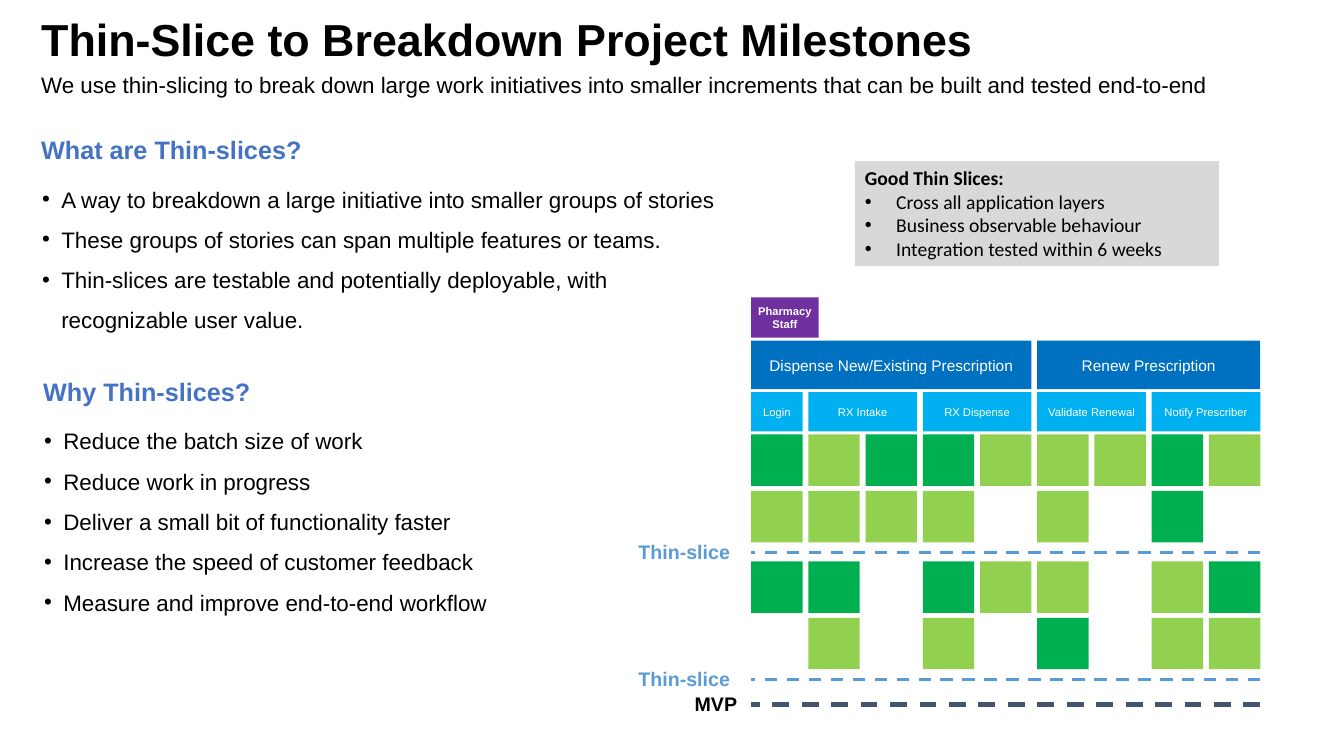
from lxml import etree
from pptx import Presentation
from pptx.dml.color import RGBColor
from pptx.enum.dml import MSO_LINE
from pptx.enum.shapes import MSO_CONNECTOR, MSO_SHAPE
from pptx.enum.text import MSO_ANCHOR, PP_ALIGN
from pptx.oxml.ns import qn
from pptx.util import Inches, Pt

BLACK = RGBColor(0x00, 0x00, 0x00)
WHITE = RGBColor(0xFF, 0xFF, 0xFF)
GREY = RGBColor(0xD8, 0xD8, 0xD8)
HEADING_BLUE = RGBColor(0x44, 0x72, 0xC4)
SLICE_BLUE = RGBColor(0x5B, 0x9B, 0xD5)
SLATE = RGBColor(0x44, 0x54, 0x6A)
PURPLE = RGBColor(0x70, 0x30, 0xA0)
GOAL_BLUE = RGBColor(0x00, 0x70, 0xC0)
STEP_BLUE = RGBColor(0x00, 0xB0, 0xF0)
DARK_GREEN = RGBColor(0x00, 0xB0, 0x50)
LIGHT_GREEN = RGBColor(0x92, 0xD0, 0x50)
LEFT, CENTER, RIGHT = PP_ALIGN.LEFT, PP_ALIGN.CENTER, PP_ALIGN.RIGHT
TOP, MIDDLE = MSO_ANCHOR.TOP, MSO_ANCHOR.MIDDLE
RECT, STRAIGHT, DASH = MSO_SHAPE.RECTANGLE, MSO_CONNECTOR.STRAIGHT, MSO_LINE.DASH

COLUMNS = 9
CARD = 0.51
GOALS = [("Dispense New/Existing Prescription", 0, 5), ("Renew Prescription", 5, 4)]
STEPS = [("Login", 0, 1), ("RX Intake", 1, 2), ("RX Dispense", 3, 2),
         ("Validate Renewal", 5, 2), ("Notify Prescriber", 7, 2)]
CARD_ROWS = [(1.36, "DLDDLLLDL"), (1.92, "LLLL.L.D."),
             (2.62, "DD.DLL.LD"), (3.18, ".L.L.D.LL")]
CARD_COLORS = {"D": DARK_GREEN, "L": LIGHT_GREEN}
WHAT = ["A way to breakdown a large initiative into smaller groups of stories",
        "These groups of stories can span multiple features or teams.",
        "Thin-slices are testable and potentially deployable, with recognizable user value."]
WHY = ["Reduce the batch size of work", "Reduce work in progress",
       "Deliver a small bit of functionality faster",
       "Increase the speed of customer feedback",
       "Measure and improve end-to-end workflow"]
GOOD = ["Cross all application layers", "Business observable behaviour",
        "Integration tested within 6 weeks"]


def format_runs(p, size, color=BLACK, bold=False, font="Arial"):
    for r in p.runs:
        r.font.size = Pt(size)
        r.font.name = font
        r.font.bold = bold
        r.font.color.rgb = color


def add_bullet(p, indent):
    pPr = p._p.get_or_add_pPr()
    pPr.set("marL", str(Inches(indent)))
    pPr.set("indent", str(-Inches(indent)))
    etree.SubElement(pPr, qn("a:buFont"), typeface="Arial")
    etree.SubElement(pPr, qn("a:buChar"), char="•")


def add_text(s, box, text, size, color=BLACK, bold=False, align=LEFT, spacing=None):
    tf = s.shapes.add_textbox(*map(Inches, box)).text_frame
    tf.word_wrap = True
    p = tf.paragraphs[0]
    p.text = text
    p.alignment = align
    if spacing:
        p.line_spacing = spacing
    format_runs(p, size, color, bold)


def add_rect(s, box, fill):
    sp = s.shapes.add_shape(RECT, *map(Inches, box))
    sp.shadow.inherit = False
    sp.fill.solid()
    sp.fill.fore_color.rgb = fill
    sp.line.fill.background()
    return sp


def add_label(s, box, fill, text, size, bold=False):
    tf = add_rect(s, box, fill).text_frame
    tf.word_wrap = True
    tf.vertical_anchor = MIDDLE
    tf.margin_left = tf.margin_right = tf.margin_top = tf.margin_bottom = Inches(0.04)
    p = tf.paragraphs[0]
    p.text = text
    p.alignment = CENTER
    format_runs(p, size, WHITE, bold)


def add_dashes(s, x, y, w, color, width):
    line = s.shapes.add_connector(STRAIGHT, Inches(x + w), Inches(y), Inches(x), Inches(y))
    line.line.color.rgb = color
    line.line.width = Pt(width)
    line.line.dash_style = DASH
    etree.SubElement(line._element.spPr, qn("a:effectLst"))


def header(s, x, y, w):
    add_text(s, (x, y, w, 0.54), "Thin-Slice to Breakdown Project Milestones", 32,
             bold=True, spacing=0.9)
    add_text(s, (x, y + 0.53, w, 0.37),
             "We use thin-slicing to break down large work initiatives into smaller "
             "increments that can be built and tested end-to-end", 16)


def bullet_section(s, x, y, w, h, heading, items):
    add_text(s, (x, y, w, 0.4), heading, 18, HEADING_BLUE, True)
    box = (x + 0.01, y + 0.38, w, h - 0.38)
    tf = s.shapes.add_textbox(*map(Inches, box)).text_frame
    tf.word_wrap = True
    tf.text = "\n".join(items)
    for p in tf.paragraphs:
        add_bullet(p, 0.19)
        p.line_spacing = 1.5
        format_runs(p, 16)


def good_slices(s, x, y, w, h):
    tf = add_rect(s, (x, y, w, h), GREY).text_frame
    tf.word_wrap = True
    tf.vertical_anchor = TOP
    tf.text = "\n".join(["Good Thin Slices:"] + GOOD)
    for i, p in enumerate(tf.paragraphs):
        p.alignment = LEFT
        if i:
            add_bullet(p, 0.31)
        format_runs(p, 14, bold=i == 0, font="Calibri")


def story_map(s, x, y, w):
    pitch = (w - CARD) / (COLUMNS - 1)

    def cell(col, span, top, height):
        return x + col * pitch, y + top, (span - 1) * pitch + CARD, height

    add_label(s, (x, y, 0.67, 0.4), PURPLE, "Pharmacy Staff", 8, True)
    for text, col, span in GOALS:
        add_label(s, cell(col, span, 0.43, 0.48), GOAL_BLUE, text, 11)
    for text, col, span in STEPS:
        add_label(s, cell(col, span, 0.94, 0.39), STEP_BLUE, text, 8)
    for top, cards in CARD_ROWS:
        for col, kind in enumerate(cards):
            if kind in CARD_COLORS:
                add_rect(s, cell(col, 1, top, CARD), CARD_COLORS[kind])
    for top in (2.53, 3.79):
        add_dashes(s, x, y + top, w, SLICE_BLUE, 2.25)
        add_text(s, (x - 1.31, y + top - 0.17, 1.2, 0.34), "Thin-slice", 14,
                 SLICE_BLUE, True, RIGHT)
    add_dashes(s, x, y + 4.04, w, SLATE, 3)
    add_text(s, (x - 0.71, y + 3.87, 0.67, 0.34), "MVP", 14, bold=True, align=RIGHT)


def main():
    prs = Presentation()
    prs.slide_width, prs.slide_height = Inches(13.33), Inches(7.5)
    s = prs.slides.add_slide(prs.slide_layouts[6])
    header(s, 0.31, 0.13, 11.88)
    bullet_section(s, 0.31, 1.28, 6.96, 2.05, "What are Thin-slices?", WHAT)
    bullet_section(s, 0.33, 3.68, 5.37, 2.46, "Why Thin-slices?", WHY)
    good_slices(s, 8.48, 1.6, 3.61, 1.04)
    story_map(s, 7.45, 2.95, 5.05)
    prs.save("out.pptx")


if __name__ == "__main__":
    main()
